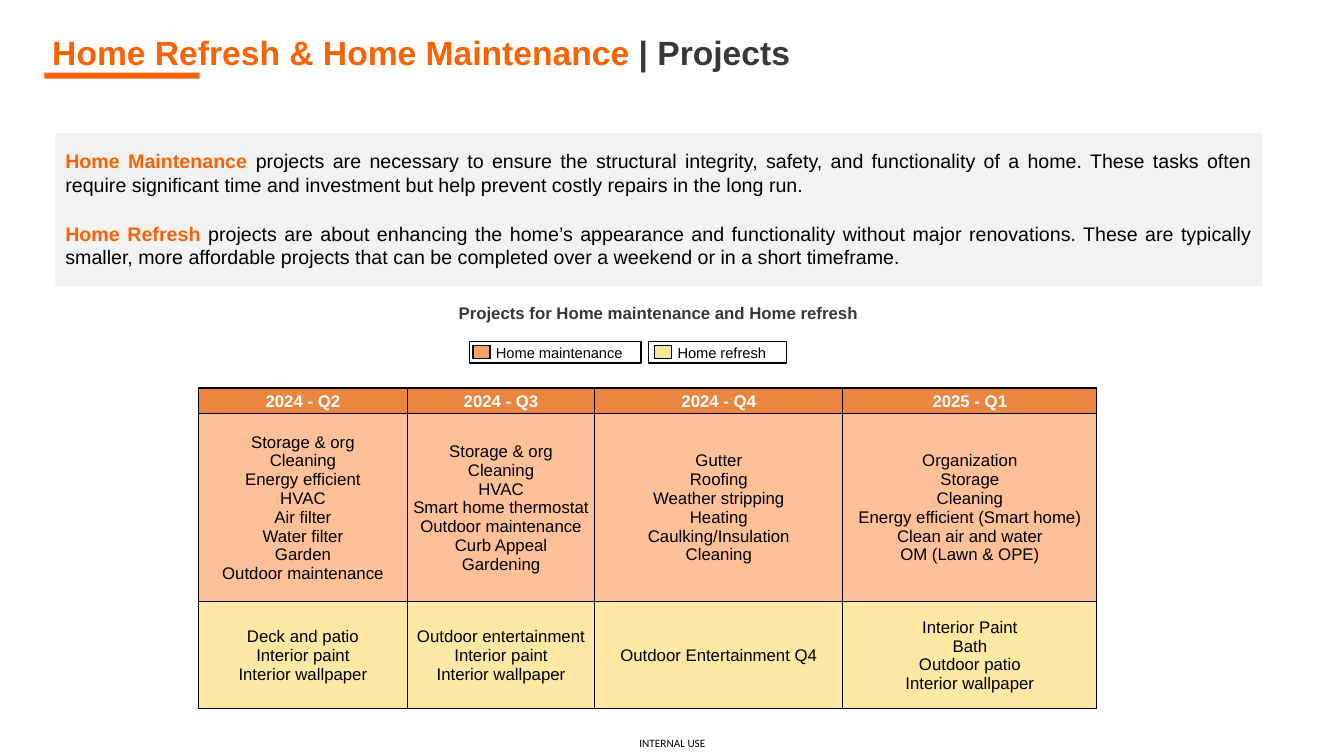
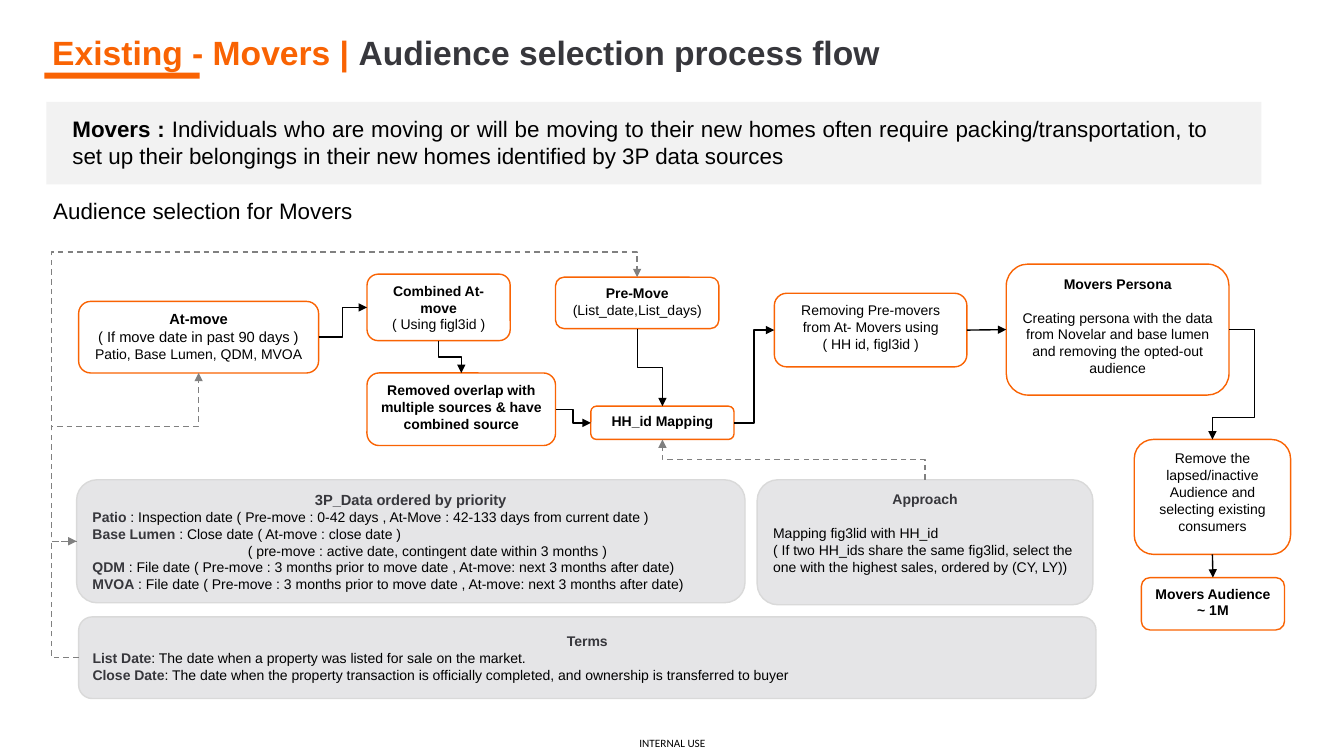
"""Build two slides: home project calendar and movers audience flow."""
from dataclasses import dataclass

from lxml import etree
from pptx import Presentation
from pptx.dml.color import RGBColor
from pptx.enum.dml import MSO_LINE
from pptx.enum.shapes import MSO_CONNECTOR, MSO_SHAPE
from pptx.enum.text import MSO_ANCHOR, PP_ALIGN
from pptx.oxml.ns import qn
from pptx.util import Emu, Inches, Pt

LEFT, CENTER, JUSTIFY = PP_ALIGN.LEFT, PP_ALIGN.CENTER, PP_ALIGN.JUSTIFY
TOP_ANCHOR, MIDDLE = MSO_ANCHOR.TOP, MSO_ANCHOR.MIDDLE
RECT, ROUNDED = MSO_SHAPE.RECTANGLE, MSO_SHAPE.FLOWCHART_ALTERNATE_PROCESS
STRAIGHT, ELBOW, DASH = MSO_CONNECTOR.STRAIGHT, MSO_CONNECTOR.ELBOW, MSO_LINE.DASH
TOP, LEFT_SIDE, BOTTOM, RIGHT_SIDE = range(4)

COLORS = {
    "orange": "F96303", "dark": "37373C", "black": "000000", "white": "FFFFFF",
    "panel": "F2F2F2", "note": "E5E5E7", "note_edge": "D9D9D9", "gray": "808080",
    "header": "EB8641", "maintenance": "FEC099", "refresh": "FEE8A3",
    "maintenance_key": "FDA166", "refresh_key": "FFE59A",
}
LOOKS = {
    "plain": ("black", False), "bold": ("black", True), "dark": ("dark", True),
    "accent": ("orange", True), "header": ("white", True),
}


@dataclass
class Para:
    """A paragraph made of (text, look) runs."""
    runs: list
    align: int = CENTER
    size: float = 10
    before: float = 0
    indent: float = 0


def line(text, look="plain", **options):
    """Make a paragraph of one run."""
    return Para([(text, look)], **options)


def entry(term, meaning):
    """Make a left-aligned term with its meaning."""
    return Para([(term, "dark"), (meaning, "plain")], LEFT)


PROJECTS_TITLE = [("Home Refresh & Home Maintenance ", "accent"), ("| Projects", "dark")]
DEFINITIONS = [
    ("Home Maintenance ", "projects are necessary to ensure the structural integrity, safety, and "
     "functionality of a home. These tasks often require significant time and investment but help "
     "prevent costly repairs in the long run."),
    ("Home Refresh ", "projects are about enhancing the home’s appearance and functionality without "
     "major renovations. These are typically smaller, more affordable projects that can be "
     "completed over a weekend or in a short timeframe."),
]
CALENDAR_HEADING = "Projects for Home maintenance and Home refresh"
LEGEND = [
    ("Home maintenance", "maintenance_key", 4.66, 1.7, 0.03),
    ("Home refresh", "refresh_key", 6.43, 1.37, 0.06),
]
QUARTERS = ["2024 - Q2", "2024 - Q3", "2024 - Q4", "2025 - Q1"]
MAINTENANCE = [
    ["Storage & org", "Cleaning", "Energy efficient", "HVAC", "Air filter", "Water filter",
     "Garden", "Outdoor maintenance"],
    ["Storage & org", "Cleaning", "HVAC", "Smart home thermostat", "Outdoor maintenance",
     "Curb Appeal", "Gardening"],
    ["Gutter", "Roofing", "Weather stripping", "Heating", "Caulking/Insulation", "Cleaning"],
    ["Organization", "Storage", "Cleaning", "Energy efficient (Smart home)",
     "Clean air and water", "OM (Lawn & OPE)"],
]
REFRESH = [
    ["Deck and patio", "Interior paint", "Interior wallpaper"],
    ["Outdoor entertainment", "Interior paint", "Interior wallpaper"],
    ["Outdoor Entertainment Q4"],
    ["Interior Paint", "Bath", "Outdoor patio", "Interior wallpaper"],
]
CALENDAR_ROWS = [
    ("header", "header", 0.25, [[quarter] for quarter in QUARTERS]),
    ("maintenance", "plain", 1.87, MAINTENANCE),
    ("refresh", "plain", 1.06, REFRESH),
]
CALENDAR_COLUMNS = [2.07, 1.86, 2.46, 2.52]

MOVERS_TITLE = [("Existing - Movers | ", "accent"), ("Audience selection process flow", "dark")]
MOVERS_DEFINITION = [
    ("Movers : ", "bold"),
    ("Individuals who are moving or will be moving to their new homes often require "
     "packing/transportation, to set up their belongings in their new homes identified by 3P "
     "data sources", "plain"),
]
FLOW_HEADING = "Audience selection for Movers"
STEPS = {
    "at_move": ((0.78, 2.99, 2.38, 0.71), [
        line("At-move", "bold", size=10.5),
        line("( If move date in past 90 days )", size=10.5),
        line("Patio, Base Lumen, QDM, MVOA")]),
    "combined": ((3.64, 2.72, 1.42, 0.66), [
        line("Combined At-move", "bold"), line("( Using figl3id )")]),
    "overlap": ((3.64, 3.7, 1.87, 0.72), [
        line("Removed overlap with multiple sources & have combined source", "bold")]),
    "pre_move": ((5.51, 2.75, 1.62, 0.51), [
        line("Pre-Move", "bold"), line("(List_date,List_days)")]),
    "mapping": ((5.86, 4.03, 1.42, 0.33), [line("HH_id Mapping", "bold")]),
    "removing": ((7.68, 2.91, 1.91, 0.73), [
        line("Removing Pre-movers from At- Movers using"), line("( HH id, figl3id )")]),
    "persona": ((9.98, 2.62, 2.21, 1.3), [
        line("Movers Persona", "bold"),
        line("Creating persona with the data from Novelar and base lumen", before=12),
        line("and removing the opted-out audience")]),
    "lapsed": ((11.25, 4.36, 1.55, 1.14), [
        line("Remove the lapsed/inactive Audience and selecting existing consumers")]),
    "audience": ((11.32, 5.73, 1.42, 0.52), [
        line("Movers Audience", "bold"), line("~ 1M", "bold")]),
}
NOTES = {
    "sources": ((0.76, 4.76, 6.63, 1.22), TOP_ANCHOR, [
        line("3P_Data ordered by priority", "dark", size=10.5),
        entry("Patio ", ": Inspection date ( Pre-move : 0-42 days , At-Move : 42-133 days from "
              "current date )"),
        entry("Base Lumen ", ": Close date ( At-move : close date )"),
        line("( pre-move : active date, contingent date within 3 months )",
             align=LEFT, indent=1.54),
        entry("QDM", " : File date ( Pre-move : 3 months prior to move date , At-move: next 3 "
              "months after date)"),
        entry("MVOA", " : File date ( Pre-move : 3 months prior to move date , At-move: next 3 "
              "months after date)")]),
    "approach": ((7.51, 4.76, 3.33, 1.24), TOP_ANCHOR, [
        line("Approach", "dark"),
        line("Mapping fig3lid with HH_id", align=LEFT, before=12),
        line("( If two HH_ids share the same fig3lid, select the one with the highest sales, "
             "ordered by (CY, LY))", align=LEFT)]),
    "terms": ((0.78, 6.12, 10.09, 0.81), MIDDLE, [
        line("Terms", "dark"),
        entry("List Date", ": The date when a property was listed for sale on the market."),
        entry("Close Date", ": The date when the property transaction is officially completed, "
              "and ownership is transferred to buyer")]),
}
STRAIGHT_LINKS = [
    ("removing", RIGHT_SIDE, "persona", LEFT_SIDE),
    ("lapsed", BOTTOM, "audience", TOP),
]
FLOW_LINKS = [
    ("at_move", RIGHT_SIDE, "combined", LEFT_SIDE, ()),
    ("combined", BOTTOM, "overlap", TOP, ()),
    ("pre_move", BOTTOM, "mapping", TOP, ()),
    ("overlap", RIGHT_SIDE, "mapping", LEFT_SIDE, ()),
    ("mapping", RIGHT_SIDE, "removing", LEFT_SIDE, ()),
    ("persona", RIGHT_SIDE, "lapsed", TOP, (12.44, 4.14)),
]
LOOKUP_LINKS = [
    ("approach", TOP, "mapping", BOTTOM, ()),
    ("sources", LEFT_SIDE, "at_move", BOTTOM, (0.51, 4.23)),
    ("terms", LEFT_SIDE, "sources", LEFT_SIDE, (0.51,)),
    ("sources", LEFT_SIDE, "pre_move", TOP, (0.51, 2.5)),
]


def color(name):
    return RGBColor.from_string(COLORS[name])


def apply(target, values):
    for name, value in values.items():
        setattr(target, name, value)


def write(frame, paras, anchor=TOP_ANCHOR, font="Arial", **options):
    """Fill a text frame with paragraphs."""
    apply(frame, {"word_wrap": True, "vertical_anchor": anchor, **options})
    for index, para in enumerate(paras):
        p = frame.add_paragraph() if index else frame.paragraphs[0]
        apply(p, {"alignment": para.align})
        if para.before:
            p.space_before = Pt(para.before)
        if para.indent:
            p._p.get_or_add_pPr().set("marL", str(Inches(para.indent)))
        for text, look in para.runs:
            run = p.add_run()
            run.text = text
            tone, bold = LOOKS[look]
            apply(run.font, {"name": font, "size": Pt(para.size), "bold": bold})
            run.font.color.rgb = color(tone)


def add_box(slide, place, fill=None, edge=None, kind=RECT):
    shape = slide.shapes.add_shape(kind, *map(Inches, place))
    shape.shadow.inherit = False
    if fill:
        shape.fill.solid()
        shape.fill.fore_color.rgb = color(fill)
    else:
        shape.fill.background()
    if edge:
        shape.line.color.rgb = color(edge)
        shape.line.width = Pt(1)
    else:
        shape.line.fill.background()
    return shape


def add_text(slide, place, paras, **options):
    area = slide.shapes.add_textbox(*map(Inches, place))
    write(area.text_frame, paras, **options)


def start_slide(deck, title):
    """Add a slide with the shared title, underline and footer."""
    slide = deck.slides.add_slide(deck.slide_layouts[6])
    add_text(slide, (6.21, 7.25, 0.92, 0.25), [line("INTERNAL USE", size=8)], anchor=MIDDLE,
             font="Calibri", margin_left=0, margin_right=0, margin_top=0, margin_bottom=0)
    add_box(slide, (0.44, 0.72, 1.54, 0.06), "orange")
    add_text(slide, (0.42, 0.28, 12.46, 0.48), [Para(title, LEFT, 24)], anchor=MIDDLE)
    return slide


def add_borders(cell, widths):
    props = cell._tc.get_or_add_tcPr()
    for index, (side, width) in enumerate(zip(("lnL", "lnR", "lnT", "lnB"), widths)):
        border = etree.Element(qn(f"a:{side}"), w=str(Pt(width)))
        fill = etree.SubElement(border, qn("a:solidFill"))
        etree.SubElement(fill, qn("a:srgbClr"), val=COLORS["black"])
        props.insert(index, border)


def add_calendar(slide):
    heights = [row[2] for row in CALENDAR_ROWS]
    size = (sum(CALENDAR_COLUMNS), sum(heights))
    table = slide.shapes.add_table(len(heights), len(CALENDAR_COLUMNS),
                                   *map(Inches, (1.97, 3.85, *size))).table
    for column, width in zip(table.columns, CALENDAR_COLUMNS):
        column.width = Inches(width)
    margins = {"margin_left": Inches(0.01), "margin_right": Inches(0.01),
               "margin_top": Inches(0.01), "margin_bottom": 0, "vertical_anchor": MIDDLE}
    for r, (fill, look, height, entries) in enumerate(CALENDAR_ROWS):
        table.rows[r].height = Inches(height)
        for c, items in enumerate(entries):
            cell = table.cell(r, c)
            apply(cell, margins)
            cell.fill.solid()
            cell.fill.fore_color.rgb = color(fill)
            write(cell.text_frame, [line(item, look, size=12) for item in items], anchor=MIDDLE)
            add_borders(cell, (1, 1, 0.5 if r == 2 else 1, 0.5 if r == 1 else 1))


def side_point(box, side):
    x = box.left + box.width * {LEFT_SIDE: 0, RIGHT_SIDE: 1}.get(side, 0.5)
    y = box.top + box.height * {TOP: 0, BOTTOM: 1}.get(side, 0.5)
    return int(x), int(y)


def add_link(slide, kind, source, source_side, target, target_side, tone="black", dash=None):
    """Join two boxes with an arrow."""
    link = slide.shapes.add_connector(kind, *side_point(source, source_side),
                                      *side_point(target, target_side))
    link.begin_connect(source, source_side)
    link.end_connect(target, target_side)
    link.line.color.rgb = color(tone)
    link.line.width = Pt(1)
    if dash:
        link.line.dash_style = dash
    etree.SubElement(link.line._get_or_add_ln(), qn("a:tailEnd"), type="triangle")
    etree.SubElement(link._element.spPr, qn("a:effectLst"))
    return link


def bend(link, start, end, upright, bends):
    """Route an elbow through the given bend positions."""
    dx, dy = end[0] - start[0], end[1] - start[1]
    width, height = (abs(dy), abs(dx)) if upright else (abs(dx), abs(dy))
    center = [(a + b) // 2 for a, b in zip(start, end)]
    apply(link, {"left": Emu(center[0] - width // 2), "top": Emu(center[1] - height // 2),
                 "width": Emu(width), "height": Emu(height)})
    flips = (dy < 0, dx > 0) if upright else (dx < 0, dy < 0)
    frame = link._element.spPr.find(qn("a:xfrm"))
    for name, value in zip(("rot", "flipH", "flipV"), (5400000 * upright, *flips)):
        frame.set(name, str(int(value)))
    shares = [(Inches(at) - a) / (b - a) for at, a, b in zip(bends, start, end)] or [0.5]
    geometry = link._element.spPr.find(qn("a:prstGeom"))
    geometry.set("prst", f"bentConnector{len(shares) + 2}")
    guides = geometry.find(qn("a:avLst"))
    for index, share in enumerate(shares, 1):
        etree.SubElement(guides, qn("a:gd"), name=f"adj{index}",
                         fmla=f"val {round(share * 100000)}")


def build_projects(deck):
    slide = start_slide(deck, PROJECTS_TITLE)
    add_box(slide, (0.55, 1.32, 11.97, 1.52), "panel")
    for index, (term, meaning) in enumerate(DEFINITIONS):
        add_text(slide, (0.55, 1.43 + 0.72 * index, 11.97, 0.57),
                 [Para([(term, "accent"), (meaning, "plain")], JUSTIFY, 14)])
    add_text(slide, (4.45, 2.95, 4.18, 0.3), [line(CALENDAR_HEADING, "dark", align=JUSTIFY, size=12)])
    for label, fill, left, width, gap in LEGEND:
        key = add_box(slide, (left, 3.39, width, 0.21), edge="black")
        write(key.text_frame, [line(label, align=LEFT, size=10.5)], anchor=MIDDLE,
              margin_left=Inches(gap + 0.23), margin_right=0)
        add_box(slide, (left + gap, 3.43, 0.17, 0.13), fill, "black")
    add_calendar(slide)


def build_movers(deck):
    slide = start_slide(deck, MOVERS_TITLE)
    add_box(slide, (0.46, 1.01, 12.05, 0.82), "panel")
    add_text(slide, (0.62, 1.09, 11.46, 0.64), [Para(MOVERS_DEFINITION, JUSTIFY, 16)])
    add_text(slide, (0.43, 1.91, 11.26, 0.37), [line(FLOW_HEADING, align=LEFT, size=16)])
    boxes = {}
    for name, (place, anchor, paras) in NOTES.items():
        boxes[name] = add_box(slide, place, "note", "note_edge", ROUNDED)
        write(boxes[name].text_frame, paras, anchor)
    for name, (place, paras) in STEPS.items():
        boxes[name] = add_box(slide, place, "white", "orange", ROUNDED)
        write(boxes[name].text_frame, paras)
    for source, out, target, into in STRAIGHT_LINKS:
        add_link(slide, STRAIGHT, boxes[source], out, boxes[target], into)
    for links, tone, dash in ((FLOW_LINKS, "black", None), (LOOKUP_LINKS, "gray", DASH)):
        for source, out, target, into, bends in links:
            ends = (boxes[source], out), (boxes[target], into)
            link = add_link(slide, ELBOW, *ends[0], *ends[1], tone, dash)
            bend(link, side_point(*ends[0]), side_point(*ends[1]), out in (TOP, BOTTOM), bends)


def main():
    deck = Presentation()
    deck.slide_width, deck.slide_height = Inches(13.33), Inches(7.5)
    build_projects(deck)
    build_movers(deck)
    deck.save("out.pptx")


if __name__ == "__main__":
    main()
